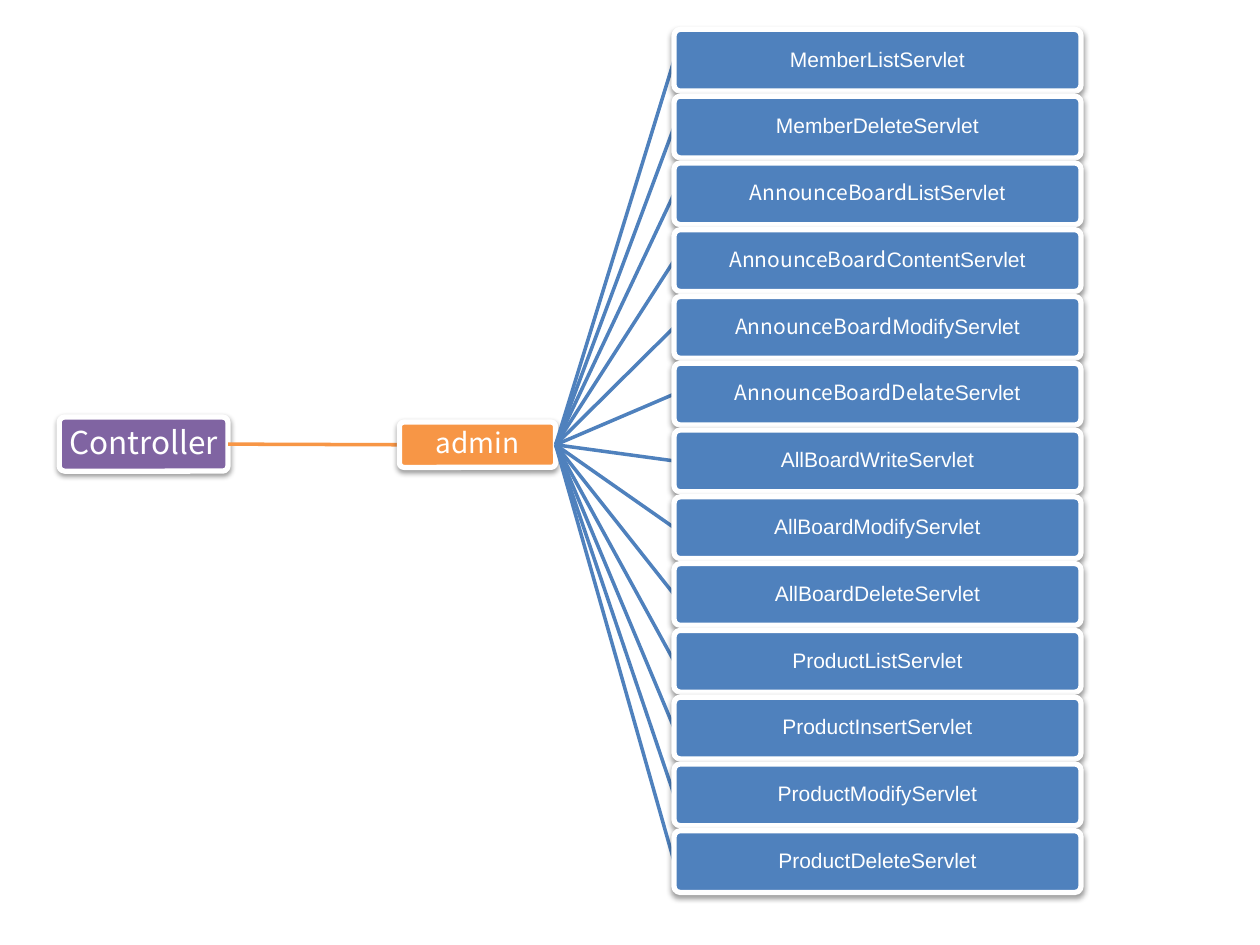
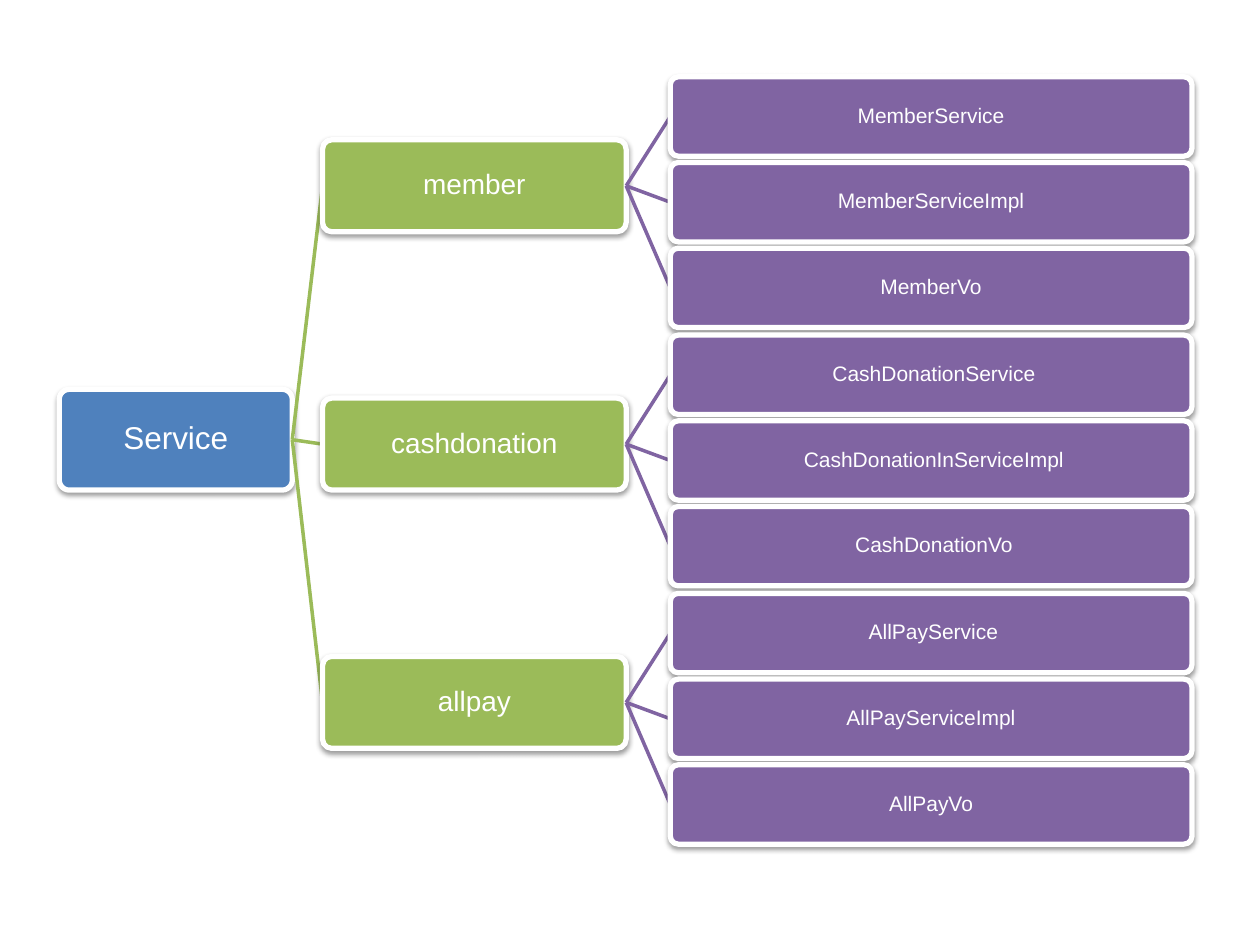
from dataclasses import dataclass

from lxml import etree
from pptx import Presentation
from pptx.dml.color import RGBColor
from pptx.enum import shapes, text
from pptx.oxml import ns
from pptx.util import Emu, Pt

# Shared look; the slide is a grid of 100 columns by 75 rows
COLS, ROWS = 100, 75
WIDTH, HEIGHT = 9144000, 6858000
COLORS = {"blue": "4F81BD", "purple": "8064A2", "orange": "F79646",
          "green": "9BBB59", "white": "FFFFFF", "shadow": "000000"}
LATIN, KOREAN = "Arial", "Noto Sans CJK KR"
FRAME = {"word_wrap": True, "vertical_anchor": text.MSO_ANCHOR.MIDDLE,
         "margin_left": Pt(1), "margin_right": Pt(1),
         "margin_top": Pt(1), "margin_bottom": Pt(1)}
PARAGRAPH = {"alignment": text.PP_ALIGN.CENTER, "line_spacing": 0.9}
SHADOW = {"blurRad": Pt(3.1), "dist": Pt(1.6), "dir": 90 * 60000, "rotWithShape": 0}
LEFT_SIDE, RIGHT_SIDE = 1, 3


@dataclass(frozen=True)
class Level:
    """One column of boxes in a tree, measured in grid units."""
    left: float
    width: float
    height: float
    color: str
    size: int


@dataclass(frozen=True)
class Node:
    """A box centred on a row; the prefix is set in the Korean font."""
    label: str
    row: float
    prefix: str = ""
    children: tuple["Node", ...] = ()


def col(n: float) -> Emu:
    return Emu(round(WIDTH * n / COLS))


def row(n: float) -> Emu:
    return Emu(round(HEIGHT * n / ROWS))


def rgb(name: str) -> RGBColor:
    return RGBColor.from_string(COLORS[name])


def apply(target, values: dict) -> None:
    for name, value in values.items():
        setattr(target, name, value)


def add_shadow(sp) -> None:
    sp.shadow.inherit = False
    effects = sp._element.spPr.find(ns.qn("a:effectLst"))
    outer = etree.SubElement(effects, ns.qn("a:outerShdw"),
                             {key: str(value) for key, value in SHADOW.items()})
    color = etree.SubElement(outer, ns.qn("a:srgbClr"), val=COLORS["shadow"])
    etree.SubElement(color, ns.qn("a:alpha"), val="38000")


def add_box(slide, node: Node, level: Level):
    sp = slide.shapes.add_shape(
        shapes.MSO_SHAPE.ROUNDED_RECTANGLE, col(level.left),
        row(node.row - level.height / 2), col(level.width), row(level.height))
    sp.adjustments[0] = 0.1
    sp.fill.solid()
    sp.fill.fore_color.rgb = rgb(level.color)
    sp.line.color.rgb = rgb("white")
    sp.line.width = Pt(3)
    add_shadow(sp)

    tf = sp.text_frame
    apply(tf, FRAME)
    p = tf.paragraphs[0]
    apply(p, PARAGRAPH)
    for part, font in ((node.prefix, KOREAN), (node.label, LATIN)):
        if part:
            r = p.add_run()
            r.text = part
            apply(r.font, {"name": font, "size": Pt(level.size)})
            r.font.color.rgb = rgb("white")
    return sp


def add_branch(slide, color: str):
    line = slide.shapes.add_connector(shapes.MSO_CONNECTOR.STRAIGHT, 0, 0, 0, 0)
    line.line.color.rgb = rgb(color)
    line.line.width = Pt(2)
    etree.SubElement(line._element.spPr, ns.qn("a:effectLst"))
    return line


def add_tree(slide, node: Node, levels: tuple[Level, ...], parent=None) -> None:
    """Draw the branch behind its box, then everything below the box."""
    level, *deeper = levels
    branch = add_branch(slide, level.color) if parent is not None else None
    box = add_box(slide, node, level)
    if branch is not None:
        branch.begin_connect(parent, RIGHT_SIDE)
        branch.end_connect(box, LEFT_SIDE)
    for child in node.children:
        add_tree(slide, child, tuple(deeper), box)


# Slide 1: admin servlets, one every 5.3 rows
SERVLETS = (
    ("", "MemberListServlet"), ("", "MemberDeleteServlet"),
    ("AnnounceBoard", "ListServlet"), ("AnnounceBoard", "ContentServlet"),
    ("AnnounceBoard", "ModifyServlet"), ("AnnounceBoardDelate", "Servlet"),
    ("", "AllBoardWriteServlet"), ("", "AllBoardModifyServlet"),
    ("", "AllBoardDeleteServlet"), ("", "ProductListServlet"),
    ("", "ProductInsertServlet"), ("", "ProductModifyServlet"),
    ("", "ProductDeleteServlet"),
)
CONTROLLER_LEVELS = (Level(4.7, 13.4, 4.3, "purple", 18),
                     Level(31.7, 12.4, 3.6, "orange", 16),
                     Level(53.5, 32.3, 4.9, "blue", 12))


def controller_tree() -> Node:
    servlets = tuple(Node(label, 4.78 + 5.3 * i, prefix)
                     for i, (prefix, label) in enumerate(SERVLETS))
    admin = Node("", 35.3, "admin", servlets)
    return Node("", 35.25, "Controller", (admin,))


# Slide 2: service packages every 20.5 rows, their classes every 6.8 rows
PACKAGES = {
    "member": ("MemberService", "MemberServiceImpl", "MemberVo"),
    "cashdonation": (" CashDonationService", " CashDonationInServiceImpl",
                     " CashDonationVo"),
    "allpay": (" AllPayService", "AllPayServiceImpl", "AllPayVo"),
}
SERVICE_LEVELS = (Level(4.7, 18.5, 8, "blue", 18),
                  Level(25.6, 24.1, 7.3, "green", 16),
                  Level(53.2, 41.4, 6.3, "purple", 12))


def service_tree() -> Node:
    packages = tuple(
        Node(name, 14.75 + 20.5 * i, children=tuple(
            Node(label, 9.25 + 20.5 * i + 6.8 * j) for j, label in enumerate(classes)))
        for i, (name, classes) in enumerate(PACKAGES.items()))
    return Node("Service", 34.9, children=packages)


def main() -> None:
    prs = Presentation()
    prs.slide_width, prs.slide_height = Emu(WIDTH), Emu(HEIGHT)
    for root, levels in ((controller_tree(), CONTROLLER_LEVELS),
                         (service_tree(), SERVICE_LEVELS)):
        slide = prs.slides.add_slide(prs.slide_layouts[6])
        add_tree(slide, root, levels)
    prs.save("out.pptx")


if __name__ == "__main__":
    main()
